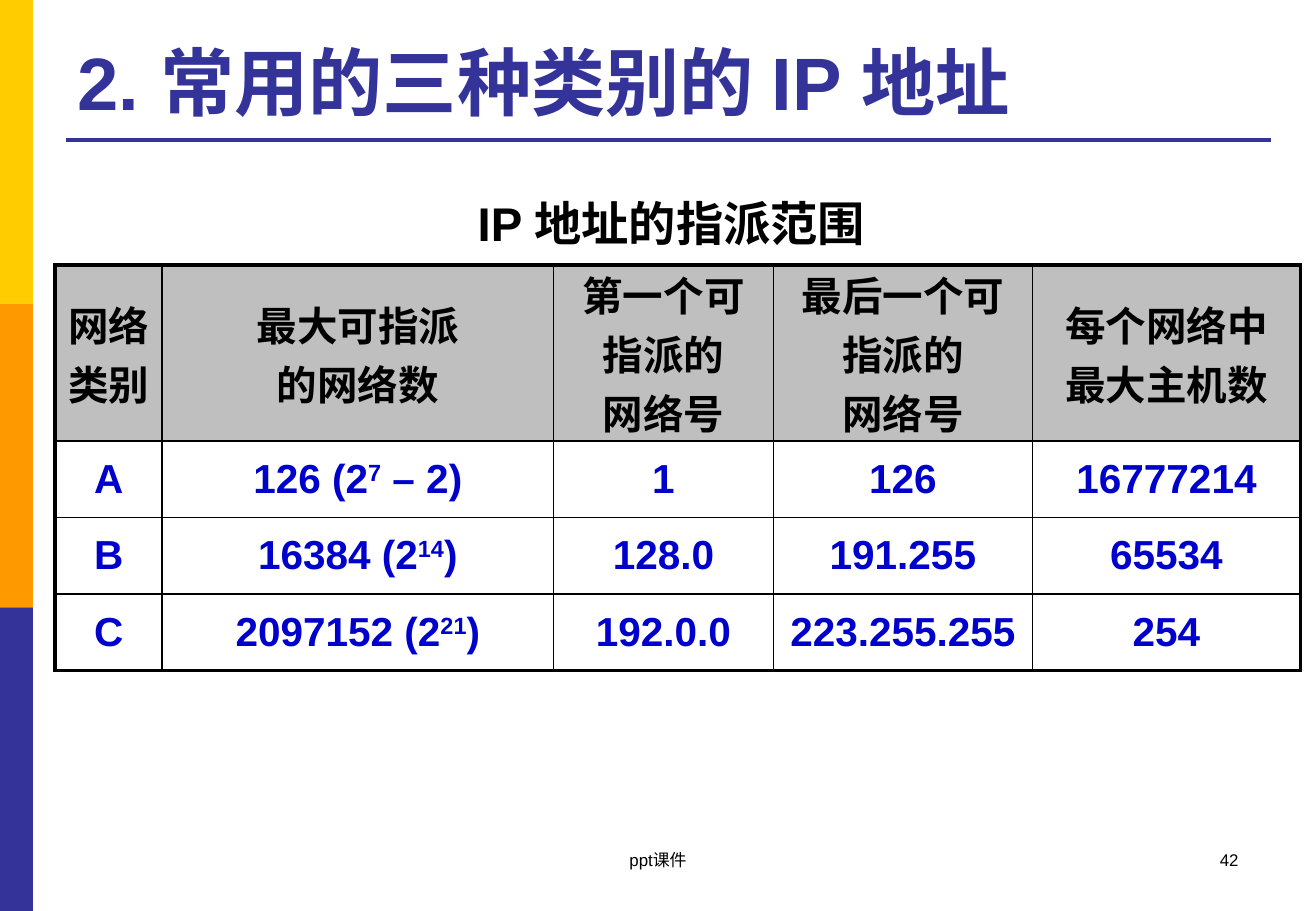
from pptx import Presentation
from pptx.dml.color import RGBColor
from pptx.enum.shapes import MSO_CONNECTOR, MSO_SHAPE
from pptx.enum.text import MSO_ANCHOR, PP_ALIGN
from pptx.oxml import parse_xml
from pptx.oxml.ns import nsdecls
from pptx.oxml.xmlchemy import OxmlElement
from pptx.util import Cm, Pt

# Content
SLIDE_WIDTH, SLIDE_HEIGHT = 27.51, 19.05
BAND_COLORS = ["FFCC00", "FF9900", "333399"]
BAND_WIDTH = 0.69
RULE = {"left": 1.37, "right": 26.57, "top": 2.92, "color": "333399"}

# Text, box (left, top, width, height), anchor, format
TEXTS = [
    ("2. 常用的三种类别的 IP 地址", (1.37, 0.53, 25.17, 2.21), MSO_ANCHOR.BOTTOM,
     {"size": 44, "bold": True, "color": "333399", "align": PP_ALIGN.LEFT}),
    ("IP 地址的指派范围 ", (8.76, 3.94, 10.77, 1.45), MSO_ANCHOR.TOP,
     {"size": 28, "bold": True, "color": "000000", "align": PP_ALIGN.CENTER}),
    ("42", (19.71, 17.65, 6.43, 1.27), MSO_ANCHOR.TOP,
     {"size": 10, "bold": False, "color": "000000", "align": PP_ALIGN.RIGHT}),
    ("ppt课件", (9.4, 17.65, 8.71, 1.27), MSO_ANCHOR.TOP,
     {"size": 10, "bold": False, "color": "000000", "align": PP_ALIGN.CENTER}),
]

# A pair of ^ marks encloses a superscript
ROWS = [
    ["网络\n类别", "最大可指派\n的网络数", "第一个可指派的\n网络号",
     "最后一个可指派的\n网络号", "每个网络中\n最大主机数"],
    ["A", "126 (2^7^ – 2)", "1", "126", "16777214"],
    ["B", "16384 (2^14^)", "128.0", "191.255", "65534"],
    ["C", "2097152 (2^21^)", "192.0.0", "223.255.255", "254"],
]
TABLE_LEFT, TABLE_TOP = 1.15, 5.54
COLUMN_WIDTHS = [2.24, 8.18, 4.6, 5.41, 5.61]
ROW_HEIGHTS = [3.4, 1.6, 1.6, 1.6]
HEADER_FORMAT = {"size": 24, "bold": True, "color": "000000", "align": PP_ALIGN.CENTER}
BODY_FORMAT = HEADER_FORMAT | {"color": "0000CC"}
CELL_MARGINS = {"margin_left": 0.2, "margin_right": 0.2, "margin_top": 0, "margin_bottom": 0}
INNER_BORDER, OUTER_BORDER = 1, 2.25


def rgb(color):
    return RGBColor.from_string(color)


def write_text(frame, text, text_format):
    for index, line in enumerate(text.split("\n")):
        paragraph = frame.paragraphs[0] if index == 0 else frame.add_paragraph()
        paragraph.alignment = text_format["align"]
        for part, piece in enumerate(line.split("^")):
            run = paragraph.add_run()
            run.text = piece
            font_values = {"name": "Arial", "size": Pt(text_format["size"]),
                           "bold": text_format["bold"]}
            for name, value in font_values.items():
                setattr(run.font, name, value)
            run.font.color.rgb = rgb(text_format["color"])
            if part % 2:
                run.font._element.set("baseline", "30000")


def set_borders(cell, widths):
    properties = cell._tc.get_or_add_tcPr()
    for position, (side, width) in enumerate(widths.items()):
        properties.insert(position, parse_xml(
            f'<a:ln{side} {nsdecls("a")} w="{Pt(width)}"><a:solidFill>'
            f'<a:srgbClr val="000000"/></a:solidFill></a:ln{side}>'))


presentation = Presentation()
presentation.slide_width, presentation.slide_height = Cm(SLIDE_WIDTH), Cm(SLIDE_HEIGHT)
slide = presentation.slides.add_slide(presentation.slide_layouts[6])

# Colour bands on the left edge
band_height = SLIDE_HEIGHT / len(BAND_COLORS)
for index, color in enumerate(BAND_COLORS):
    band = slide.shapes.add_shape(MSO_SHAPE.RECTANGLE, 0, Cm(index * band_height),
                                  Cm(BAND_WIDTH), Cm(band_height))
    band.shadow.inherit = False
    band.fill.solid()
    band.fill.fore_color.rgb = rgb(color)
    band.line.fill.background()

# Rule under the title
rule = slide.shapes.add_connector(MSO_CONNECTOR.STRAIGHT, Cm(RULE["left"]), Cm(RULE["top"]),
                                  Cm(RULE["right"]), Cm(RULE["top"]))
rule.line.color.rgb = rgb(RULE["color"])
rule.line.width = Pt(2.25)
rule._element.spPr.append(OxmlElement("a:effectLst"))

# Address table
table = slide.shapes.add_table(len(ROWS), len(COLUMN_WIDTHS), Cm(TABLE_LEFT), Cm(TABLE_TOP),
                               Cm(sum(COLUMN_WIDTHS)), Cm(sum(ROW_HEIGHTS))).table
table.first_row = table.horz_banding = False
for column, width in zip(table.columns, COLUMN_WIDTHS):
    column.width = Cm(width)
for row, height in zip(table.rows, ROW_HEIGHTS):
    row.height = Cm(height)

last_row, last_column = len(ROWS) - 1, len(COLUMN_WIDTHS) - 1
for row_index, row in enumerate(ROWS):
    for column_index, text in enumerate(row):
        cell = table.cell(row_index, column_index)
        cell.vertical_anchor = MSO_ANCHOR.MIDDLE
        for name, value in CELL_MARGINS.items():
            setattr(cell, name, Cm(value))
        if row_index == 0:
            cell.fill.solid()
            cell.fill.fore_color.rgb = rgb("BFBFBF")
        else:
            cell.fill.background()
        write_text(cell.text_frame, text, BODY_FORMAT if row_index else HEADER_FORMAT)
        on_edge = {"L": column_index == 0, "R": column_index == last_column,
                   "T": row_index == 0, "B": row_index == last_row}
        set_borders(cell, {side: OUTER_BORDER if outer else INNER_BORDER
                           for side, outer in on_edge.items()})

# Title, table caption, page number and footer
for text, box, anchor, text_format in TEXTS:
    frame = slide.shapes.add_textbox(*map(Cm, box)).text_frame
    frame.word_wrap = True
    frame.vertical_anchor = anchor
    write_text(frame, text, text_format)

presentation.save("out.pptx")
